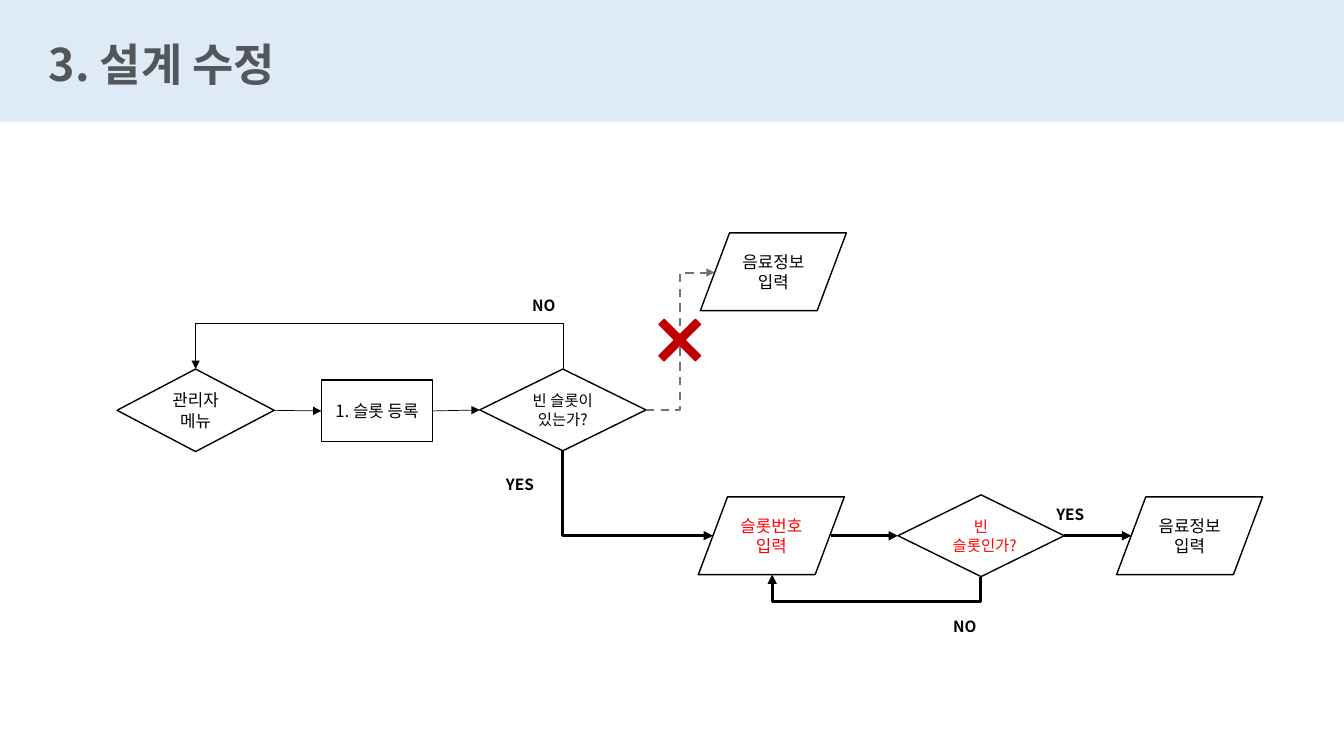
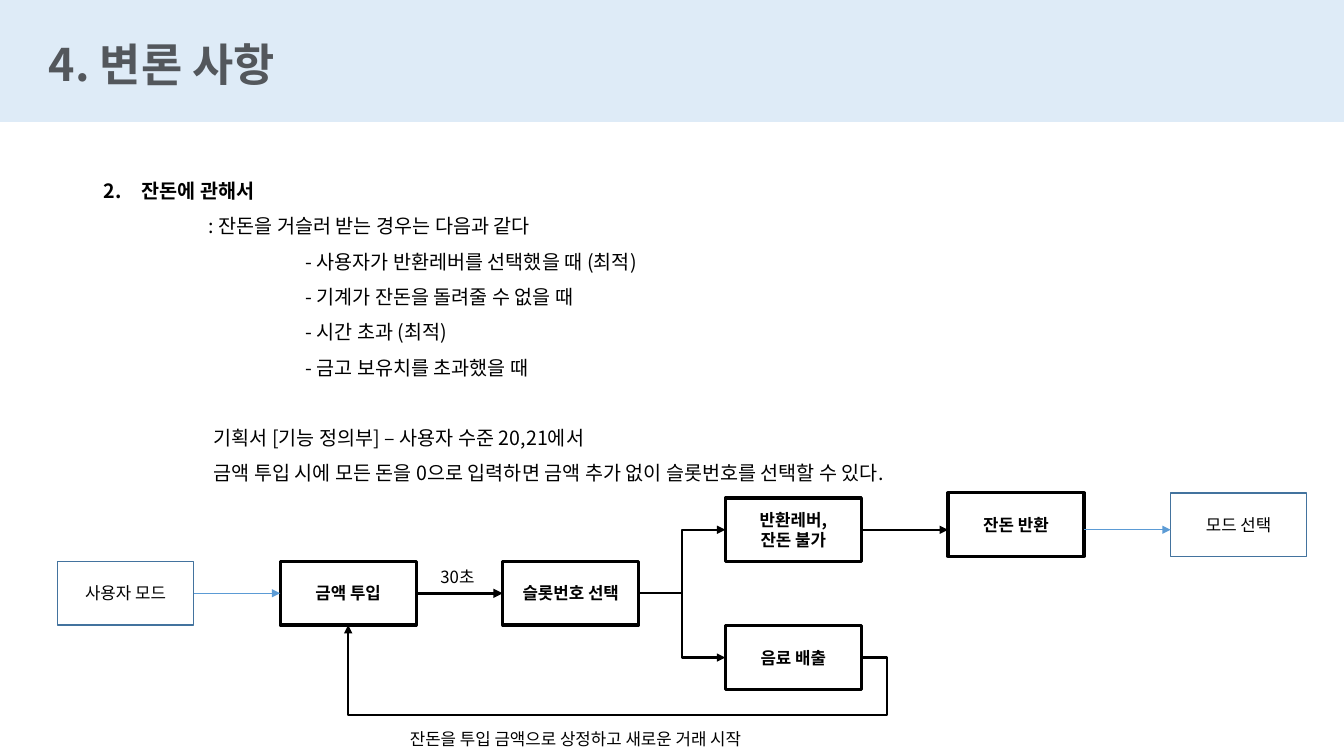
from dataclasses import dataclass

import lxml.etree
import pptx
import pptx.dml.color
import pptx.enum.dml
import pptx.enum.shapes
import pptx.enum.text
import pptx.oxml.ns
import pptx.util

Cm = pptx.util.Cm
Pt = pptx.util.Pt
qn = pptx.oxml.ns.qn
Preset = pptx.enum.shapes.MSO_SHAPE
Connector = pptx.enum.shapes.MSO_CONNECTOR
Anchor = pptx.enum.text.MSO_ANCHOR
Align = pptx.enum.text.PP_ALIGN


@dataclass(frozen=True)
class Theme:
    font: str = "Noto Sans CJK KR"
    band: str = "DEEBF7"
    title: str = "53575C"
    ink: str = "000000"
    paper: str = "FFFFFF"
    changed: str = "FF0000"
    removed: str = "C00000"
    faded: str = "767171"
    mode_edge: str = "43739E"
    mode_arrow: str = "5B9BD5"
    title_size: float = 32
    body_size: float = 14
    box_size: float = 12
    label_size: float = 11
    thin: float = 0.5
    edge: float = 1
    medium: float = 1.5
    thick: float = 2.25


THEME = Theme()


def rgb(color):
    return pptx.dml.color.RGBColor.from_string(color)


class Deck:
    def __init__(self, theme):
        self.theme = theme
        self.presentation = pptx.Presentation()
        self.presentation.slide_width = Cm(33.87)
        self.presentation.slide_height = Cm(19.05)
        self.slide = None

    def start(self, title, layout):
        self.slide = self.presentation.slides.add_slide(self.presentation.slide_layouts[layout])
        band = self.shape(Preset.RECTANGLE, (0, 0, 33.87, 3.07), fill=self.theme.band, edge=self.theme.band)
        self.slide.shapes.element.insert(2, band.element)
        holder = self.slide.shapes.title
        self.place(holder, (0.97, 0.79, 16, 2.29))
        self.set_text(holder.text_frame, [title], self.theme.title_size, self.theme.title, True)

    def place(self, shape, box):
        shape.left, shape.top, shape.width, shape.height = map(Cm, box)

    def add_run(self, paragraph, text, size, color, bold):
        run = paragraph.add_run()
        run.text = text
        run.font.size = Pt(size)
        run.font.bold = bold
        run.font.color.rgb = rgb(color)
        run.font.name = self.theme.font
        properties = run._r.get_or_add_rPr()
        lxml.etree.SubElement(properties, qn("a:ea")).set("typeface", self.theme.font)

    def set_text(self, frame, lines, size, color, bold=False, align=Align.LEFT, anchor=Anchor.TOP):
        frame.word_wrap = True
        frame.auto_size = pptx.enum.text.MSO_AUTO_SIZE.NONE
        frame.vertical_anchor = anchor
        for index, line in enumerate(lines):
            paragraph = frame.add_paragraph() if index else frame.paragraphs[0]
            paragraph.alignment = align
            self.add_run(paragraph, line, size, color, bold)

    def shape(self, preset, box, text="", size=THEME.box_size, color=THEME.ink, bold=False,
              fill=THEME.paper, edge=THEME.ink, width=THEME.edge):
        shape = self.slide.shapes.add_shape(preset, *map(Cm, box))
        shape.shadow.inherit = False
        shape.fill.solid()
        shape.fill.fore_color.rgb = rgb(fill)
        shape.line.color.rgb = rgb(edge)
        shape.line.width = Pt(width)
        if text:
            self.set_text(shape.text_frame, text.split("\n"), size, color, bold, Align.CENTER, Anchor.MIDDLE)
        return shape

    def label(self, text, box, size=THEME.box_size, bold=False):
        shape = self.slide.shapes.add_textbox(*map(Cm, box))
        self.set_text(shape.text_frame, [text], size, self.theme.ink, bold)

    def outline(self, items):
        holder = self.slide.placeholders[1]
        self.place(holder, (2.36, 4.09, 27.81, 8.33))
        holder.text_frame.word_wrap = True
        holder.text_frame.auto_size = pptx.enum.text.MSO_AUTO_SIZE.NONE
        for index, (text, margin, number, gap) in enumerate(items):
            paragraph = holder.text_frame.add_paragraph() if index else holder.text_frame.paragraphs[0]
            paragraph.line_spacing = 1.5
            paragraph.space_before = Pt(gap)
            properties = paragraph._p.get_or_add_pPr()
            properties.set("marL", str(Cm(margin)))
            properties.set("indent", str(-Cm(margin) if number else 0))
            if number:
                bullet = lxml.etree.SubElement(properties, qn("a:buAutoNum"))
                bullet.set("type", "arabicPeriod")
                bullet.set("startAt", str(number))
            else:
                lxml.etree.SubElement(properties, qn("a:buNone"))
            self.add_run(paragraph, text, self.theme.body_size, self.theme.ink, bool(number))

    def arrow(self, start, end, width=THEME.thin, color=THEME.ink, kind=Connector.STRAIGHT, dashed=False):
        connector = self.slide.shapes.add_connector(kind, *map(Cm, (*start, *end)))
        connector.line.color.rgb = rgb(color)
        connector.line.width = Pt(width)
        if dashed:
            connector.line.dash_style = pptx.enum.dml.MSO_LINE.DASH
        properties = connector.element.spPr
        lxml.etree.SubElement(properties.find(qn("a:ln")), qn("a:tailEnd")).set("type", "triangle")
        lxml.etree.SubElement(properties, qn("a:effectLst"))
        return connector

    def link(self, source, target, width=THEME.thin, color=THEME.ink):
        connector = self.arrow((0, 0), (1, 1), width, color)
        connector.begin_connect(source, 3)
        connector.end_connect(target, 1)

    def elbow(self, start, end, width, color=THEME.ink, bends=2, leads=(), upright=False, dashed=False):
        connector = self.arrow(start, end, width, color, Connector.ELBOW, dashed)
        across, down = end[0] - start[0], end[1] - start[1]
        spans = [abs(across), abs(down)]
        properties = connector.element.spPr
        if upright:
            spans.reverse()
            middle = [(first + last) / 2 for first, last in zip(start, end)]
            self.place(connector, (middle[0] - spans[0] / 2, middle[1] - spans[1] / 2, *spans))
            frame = properties.find(qn("a:xfrm"))
            frame.set("rot", "16200000")
            frame.set("flipH", str(int(down > 0)))
            frame.set("flipV", str(int(across < 0)))
        geometry = properties.find(qn("a:prstGeom"))
        geometry.set("prst", f"bentConnector{bends + 1}")
        for index, (lead, span) in enumerate(zip(leads, spans), 1):
            guide = lxml.etree.SubElement(geometry.find(qn("a:avLst")), qn("a:gd"))
            guide.set("name", f"adj{index}")
            guide.set("fmla", f"val {round(lead / span * 100000)}")


def design_change(deck):
    theme = deck.theme
    deck.start("3. 설계 수정", 5)
    decision, data = Preset.FLOWCHART_DECISION, Preset.FLOWCHART_DATA
    register = deck.shape(Preset.RECTANGLE, (8.1, 9.58, 2.8, 1.55), "1. 슬롯 등록")
    any_empty = deck.shape(decision, (12.09, 9.3, 4.19, 2.06), "빈 슬롯이 있는가?", theme.label_size)
    menu = deck.shape(decision, (2.95, 9.3, 3.96, 2.08), "관리자\n메뉴")
    deck.link(menu, register)
    deck.link(register, any_empty)
    deck.elbow((14.2, 9.32), (4.93, 9.3), theme.thin, leads=[1.17], upright=True)

    for left, top, text, color in (
        (17.6, 12.52, "슬롯번호 입력", theme.changed),
        (17.65, 5.87, "음료정보입력", theme.ink),
        (28.14, 12.52, "음료정보 입력", theme.ink),
    ):
        deck.shape(data, (left, top, 3.68, 1.96), text, color=color)
    deck.shape(decision, (22.63, 12.47, 4.19, 2.06), "빈\n슬롯인가?", theme.label_size, theme.changed)

    deck.elbow((14.18, 11.36), (17.97, 13.5), theme.thick, bends=1, upright=True)
    deck.elbow((24.72, 14.53), (19.46, 14.48), theme.thick, leads=[-0.64], upright=True)
    for left in (20.93, 26.81):
        deck.arrow((left, 13.5), (left + 1.7, 13.5), theme.thick)
    deck.elbow((16.28, 10.33), (18.01, 6.87), theme.medium, theme.faded, dashed=True)

    for text, left, top in (("NO", 13.16, 7.34), ("YES", 12.5, 11.86),
                            ("NO", 23.77, 15.42), ("YES", 26.37, 12.6)):
        deck.label(text, (left, top, 1.32, 0.74), theme.label_size, True)
    cross = deck.shape(Preset.CROSS, (16.48, 7.92, 1.3, 1.3), fill=theme.removed, edge=theme.removed)
    cross.adjustments[0] = 0.43
    cross.rotation = 45


def change_rules(deck):
    theme = deck.theme
    deck.start("4. 변론 사항", 1)
    deck.outline([
        ("잔돈에 관해서", 0.95, 2, 0),
        (": 잔돈을 거슬러 받는 경우는 다음과 같다", 2.65, None, 0),
        ("- 사용자가 반환레버를 선택했을 때 (최적)", 5.08, None, 0),
        ("- 기계가 잔돈을 돌려줄 수 없을 때", 5.08, None, 0),
        ("- 시간 초과 (최적)", 5.08, None, 0),
        ("- 금고 보유치를 초과했을 때", 5.08, None, 0),
        ("기획서 [기능 정의부] – 사용자 수준 20,21에서", 2.77, None, 25),
        ("금액 투입 시에 모든 돈을 0으로 입력하면 금액 추가 없이 슬롯번호를 선택할 수 있다.", 2.77, None, 0),
    ])
    width, height = 3.43, 1.6
    columns = [1.45 + 5.61 * index for index in range(6)]

    def step(column, top, text):
        return deck.shape(Preset.RECTANGLE, (columns[column], top, width, height), text,
                          bold=True, width=theme.thick)

    def mode(column, top, text):
        return deck.shape(Preset.RECTANGLE, (columns[column], top, width, height), text, edge=theme.mode_edge)

    user_mode = mode(0, 14.15, "사용자 모드")
    insert = step(1, 14.15, "금액 투입")
    choose = step(2, 14.15, "슬롯번호 선택")
    step(3, 12.55, "반환레버,\n잔돈 불가")
    step(3, 15.77, "음료 배출")
    step(4, 12.42, "잔돈 반환")
    mode(5, 12.42, "모드 선택")

    deck.link(user_mode, insert, color=theme.mode_arrow)
    deck.link(insert, choose, theme.thick)
    upper, middle, lower = 13.35, 14.95, 16.57
    for target in (upper, lower):
        deck.elbow((columns[2] + width, middle), (columns[3], target), theme.medium)
    deck.arrow((columns[3] + width, upper), (columns[4], upper), theme.medium)
    deck.arrow((columns[4] + width, upper), (columns[5], upper), color=theme.mode_arrow)
    deck.elbow((columns[3] + width, lower), (columns[1] + width / 2, 14.15 + height),
               theme.medium, bends=3, leads=[-0.64, -1.44])
    deck.label("30초", (10.85, 14.15, 1.63, 0.76))
    deck.label("잔돈을 투입 금액으로 상정하고 새로운 거래 시작", (10.08, 18.24, 13.06, 0.76))


def main():
    deck = Deck(THEME)
    design_change(deck)
    change_rules(deck)
    deck.presentation.save("out.pptx")


if __name__ == "__main__":
    main()
